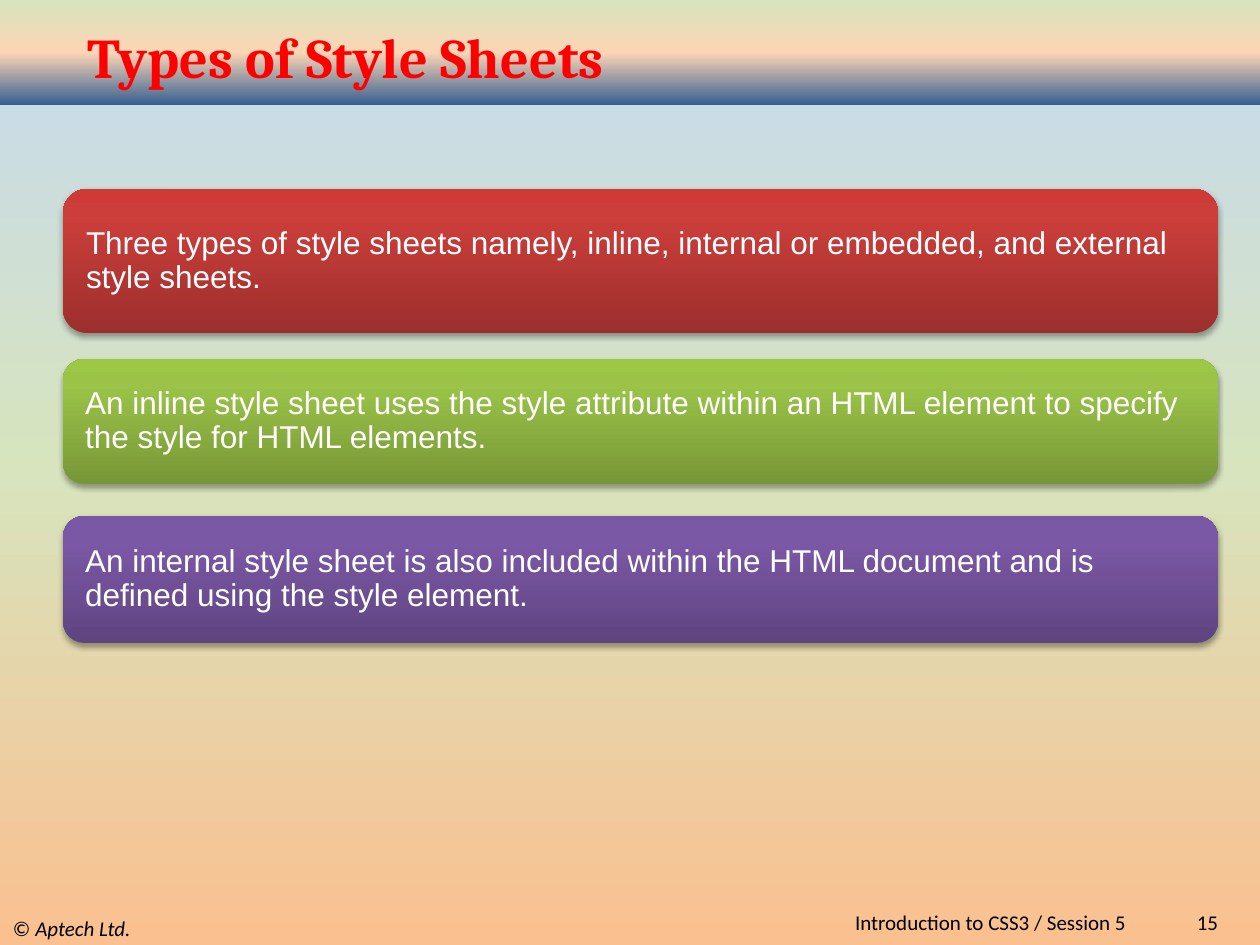
from lxml import etree
from pptx import Presentation
from pptx.dml.color import RGBColor
from pptx.enum.shapes import MSO_SHAPE as Shape
from pptx.enum.text import MSO_ANCHOR as Anchor, PP_ALIGN as Align
from pptx.oxml import parse_xml
from pptx.oxml.ns import nsdecls, qn
from pptx.util import Emu, Pt

PX = 914400 / 126


def px(length):
    return Emu(round(length * PX))


def color(hex_code):
    return RGBColor.from_string(hex_code)


class Deck:
    body_font = "Arial"
    footer_font = "Calibri"
    title_font = "Cambria"
    ink = "000000"
    light = "FFFFFF"
    accent = "FF0000"

    def __init__(self, width, height):
        self.prs = Presentation()
        self.prs.slide_width, self.prs.slide_height = px(width), px(height)
        self.slide = self.prs.slides.add_slide(self.prs.slide_layouts[6])

    def paint(self, fill, parent, bottom_to_top):
        fill.solid()
        gradient = parse_xml(
            f'<a:gradFill {nsdecls("a")} rotWithShape="1"><a:gsLst/>'
            '<a:lin ang="16200000" scaled="0"/></a:gradFill>')
        for position, hex_code in bottom_to_top:
            stop = etree.SubElement(gradient[0], qn("a:gs"), pos=str(position * 1000))
            etree.SubElement(stop, qn("a:srgbClr"), val=hex_code)
        parent.replace(parent.find(qn("a:solidFill")), gradient)

    def background(self, stops):
        fill = self.slide.background.fill
        fill.solid()
        self.paint(fill, self.slide.element.xpath(".//p:bgPr")[0], stops)

    def block(self, kind, box, stops):
        block = self.slide.shapes.add_shape(kind, *map(px, box))
        self.paint(block.fill, block.element.spPr, stops)
        block.line.fill.background()
        block.shadow.inherit = False
        return block

    def add_text(self, shape, runs, font, size, hex_code, inset, align=Align.LEFT, bold=False):
        frame = shape.text_frame
        frame.word_wrap = True
        frame.vertical_anchor = Anchor.MIDDLE
        frame.margin_left = frame.margin_right = px(inset)
        frame.margin_top = frame.margin_bottom = 0
        paragraph = frame.paragraphs[0]
        paragraph.alignment = align
        for words, italic in runs:
            run = paragraph.add_run()
            run.text = words
            run.font.name, run.font.size = font, Pt(size)
            run.font.bold, run.font.italic = bold, italic
            run.font.color.rgb = color(hex_code)
        return paragraph

    def card(self, box, stops, sentence):
        card = self.block(Shape.ROUNDED_RECTANGLE, box, stops)
        card.element.spPr.find(qn("a:effectLst")).append(parse_xml(
            f'<a:outerShdw {nsdecls("a")} blurRad="{Pt(3.1)}" dist="{Pt(1.8)}" '
            'dir="5400000" rotWithShape="0"><a:srgbClr val="000000">'
            '<a:alpha val="35000"/></a:srgbClr></a:outerShdw>'))
        paragraph = self.add_text(card, [(sentence, False)], self.body_font, 18, self.light, 16)
        paragraph.line_spacing = 0.9

    def title(self, box, words):
        heading = self.slide.shapes.add_textbox(*map(px, box))
        self.add_text(heading, [(words, False)], self.title_font, 32, self.accent, 24, bold=True)

    def footer(self, box, runs, align=Align.LEFT):
        note = self.slide.shapes.add_textbox(*map(px, box))
        self.add_text(note, runs, self.footer_font, 12, self.ink, 13, align)


CARDS = [
    (189, 144, ("9C2F2D", "CB3E3A", "CE3B37"),
     "Three types of style sheets namely, inline, internal or embedded, "
     "and external style sheets."),
    (359, 125, ("779737", "9BC348", "9DC746"),
     "An inline style sheet uses the style attribute within an HTML element "
     "to specify the style for HTML elements."),
    (516, 127, ("5F4480", "7B58A6", "7C57A8"),
     "An internal style sheet is also included within the HTML document "
     "and is defined using the style element."),
]


def main():
    deck = Deck(1260, 945)
    deck.background([(0, "FAC090"), (50, "D7E4BD"), (100, "C6D9F1")])
    deck.block(Shape.RECTANGLE, (0, 0, 1260, 105),
               [(0, "376092"), (50, "FCD5B5"), (100, "D7E4BD")])
    deck.footer((0, 911, 420, 34), [("© ", False), ("Aptech Ltd.", True)])
    deck.footer((1124, 911, 107, 22), [("15", False)], Align.RIGHT)
    deck.footer((315, 911, 824, 22), [("Introduction to CSS3 / Session 5", False)], Align.RIGHT)
    deck.title((63, 28, 1176, 57), "Types of Style Sheets")
    for top, height, shades, sentence in CARDS:
        deck.card((63, top, 1155, height), list(zip((0, 80, 100), shades)), sentence)
    deck.prs.save("out.pptx")


if __name__ == "__main__":
    main()
